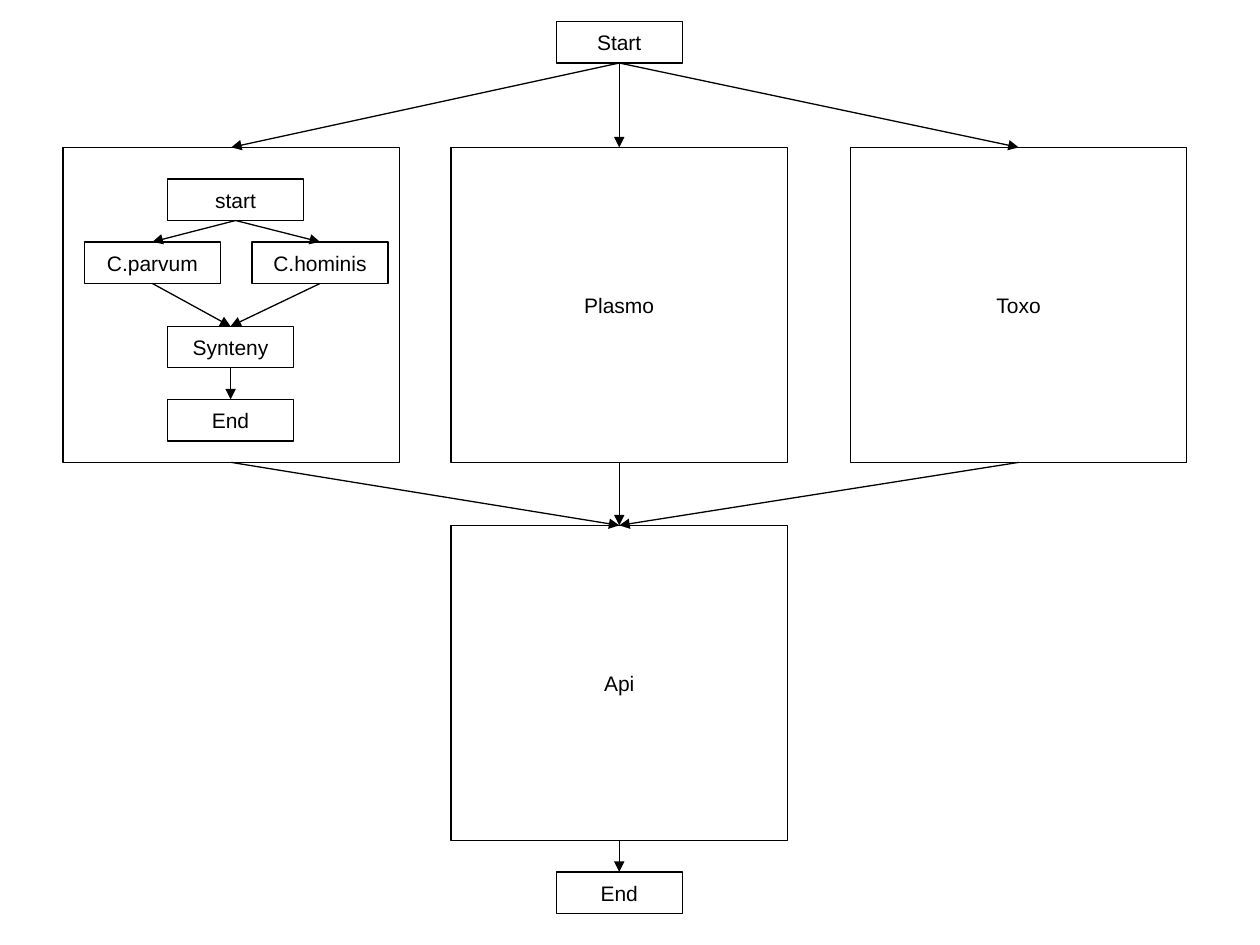
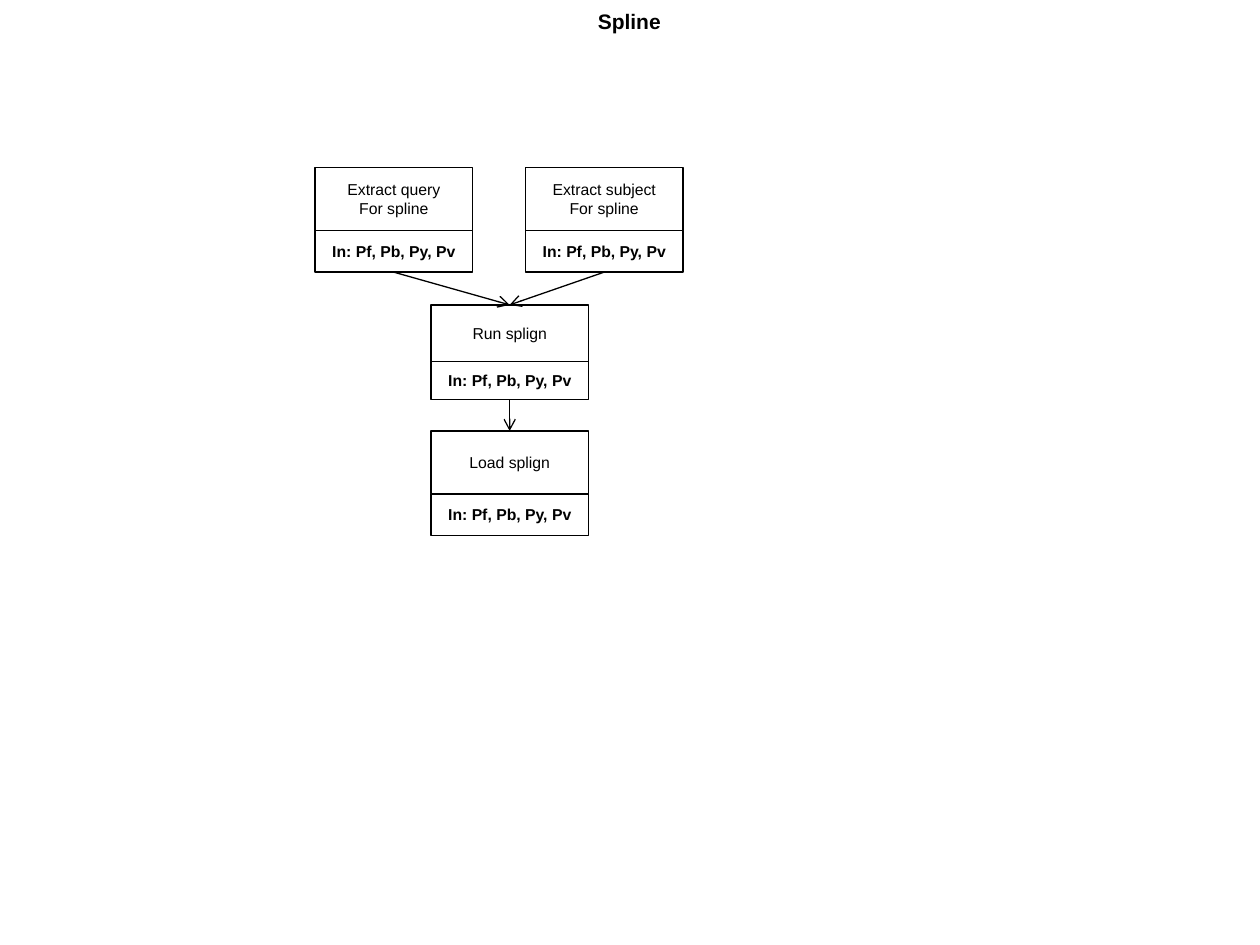
from collections import namedtuple

from lxml.etree import SubElement
from pptx import Presentation
from pptx.dml.color import RGBColor
from pptx.enum.shapes import MSO_CONNECTOR as Link, MSO_SHAPE as Shape
from pptx.enum.text import MSO_ANCHOR as Anchor, PP_ALIGN as Align
from pptx.oxml.ns import qn
from pptx.util import Inches, Pt

COLORS = {"ink": "000000"}
LABEL = {"name": "Arial", "size": Pt(12), "bold": False}
TITLE = {**LABEL, "bold": True}
STEP = {**LABEL, "size": Pt(9)}
INPUTS = {**STEP, "bold": True}
TOP_SITE, BOTTOM_SITE = 0, 2

Box = namedtuple("Box", "left top width height")


def ink():
    """Return the one colour used for lines and text."""
    return RGBColor.from_string(COLORS["ink"])


def write(shape, text, style, wrap):
    """Write centred lines of text into a shape."""
    frame = shape.text_frame
    settings = {"word_wrap": wrap, "vertical_anchor": Anchor.MIDDLE}
    for name, value in settings.items():
        setattr(frame, name, value)
    for index, line in enumerate(text.split("\n")):
        para = frame.paragraphs[0] if index == 0 else frame.add_paragraph()
        para.alignment = Align.CENTER
        span = para.add_run()
        span.text = line
        for name, value in style.items():
            setattr(span.font, name, value)
        span.font.color.rgb = ink()


def outline(line):
    """Give a line the shared colour and weight."""
    line.color.rgb = ink()
    line.width = Pt(0.75)


def add_node(shapes, box, text="", style=LABEL, wrap=False):
    """Add an unfilled rectangle with an optional label."""
    node = shapes.add_shape(Shape.RECTANGLE, *map(Inches, box))
    node.shadow.inherit = False
    node.fill.background()
    outline(node.line)
    if text:
        write(node, text, style, wrap)
    return node


def add_arrow(page, source, target, head="triangle"):
    """Join the bottom of one node to the top of another."""
    arrow = page.shapes.add_connector(Link.STRAIGHT, 0, 0, 0, 0)
    arrow.begin_connect(source, BOTTOM_SITE)
    arrow.end_connect(target, TOP_SITE)
    outline(arrow.line)
    SubElement(arrow.line._get_or_add_ln(), qn("a:tailEnd"), type=head)
    SubElement(arrow._element.spPr, qn("a:effectLst"))


def add_species_flow(page, box):
    """Draw the framed flow that compares two species."""
    frame = add_node(page.shapes, box)

    def place(text, left, top, width):
        """Add one node offset from the frame's corner."""
        spot = Box(box.left + left, box.top + top, width, 0.33)
        return add_node(page.shapes, spot, text)

    start = place("start", 0.83, 0.25, 1.08)
    species = [place("C.parvum", 0.17, 0.75, 1.08),
               place("C.hominis", 1.5, 0.75, 1.08)]
    synteny = place("Synteny", 0.83, 1.42, 1)
    end = place("End", 0.83, 2, 1)
    for node in species:
        add_arrow(page, start, node)
        add_arrow(page, node, synteny)
    add_arrow(page, synteny, end)
    return frame


def add_step(page, box, text, input_height=0.33):
    """Draw a step with its list of inputs underneath."""
    group = page.shapes.add_group_shape()
    body = box._replace(height=box.height - input_height)
    foot = box._replace(top=box.top + body.height, height=input_height)
    return (add_node(group.shapes, body, text, STEP, True),
            add_node(group.shapes, foot, "In: Pf, Pb, Py, Pv", INPUTS, True))


def build_overview(page):
    """Draw the whole workflow from start to end."""
    stages = [Box(0.5 + (2.67 + 0.45) * 0, 1.17, 2.67, 2.5),
              Box(3.58, 1.17, 2.67, 2.5), Box(6.75, 1.17, 2.67, 2.5)]
    middle = stages[1]
    terminal = Box(middle.left + (middle.width - 1) / 2, 0.17, 1, 0.33)
    start = add_node(page.shapes, terminal, "Start")
    branches = [add_species_flow(page, stages[0]),
                add_node(page.shapes, middle, "Plasmo"),
                add_node(page.shapes, stages[2], "Toxo")]
    api = add_node(page.shapes, middle._replace(top=4.17), "Api")
    end = add_node(page.shapes, terminal._replace(top=6.92), "End")
    for branch in branches:
        add_arrow(page, start, branch)
        add_arrow(page, branch, api)
    add_arrow(page, api, end)


def build_spline(page):
    """Draw the title and the steps of the spline workflow."""
    title = page.shapes.add_textbox(*map(Inches, Box(4.08, 0, 1.83, 0.33)))
    write(title, "Spline", TITLE, True)
    query = Box(2.5, 1.33, 1.25, 0.83)
    run = Box(3.42, 2.42, 1.25, 0.75)
    extracts = [add_step(page, query, "Extract query\nFor spline"),
                add_step(page, query._replace(left=4.17),
                         "Extract subject\nFor spline")]
    run_body, run_foot = add_step(page, run, "Run splign", 0.3)
    load_body, _ = add_step(page, run._replace(top=3.42, height=0.83),
                            "Load splign")
    for _, foot in extracts:
        add_arrow(page, foot, run_body, "arrow")
    add_arrow(page, run_foot, load_body, "arrow")


def main():
    """Build and save the deck."""
    deck = Presentation()
    deck.slide_width, deck.slide_height = Inches(10), Inches(7.5)
    for build in (build_overview, build_spline):
        build(deck.slides.add_slide(deck.slide_layouts[6]))
    deck.save("out.pptx")


if __name__ == "__main__":
    main()
